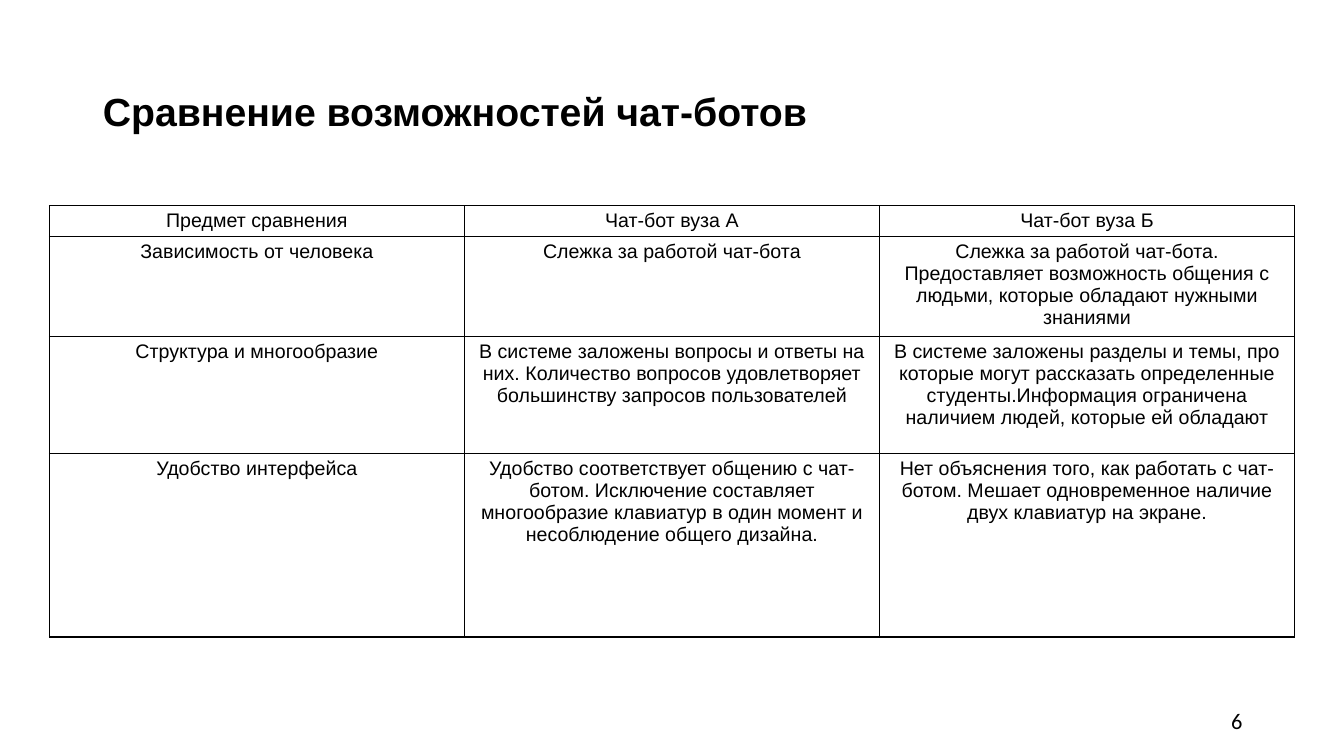
from dataclasses import dataclass

from lxml import etree
from pptx import Presentation
from pptx.dml.color import RGBColor
from pptx.enum.text import MSO_ANCHOR, MSO_AUTO_SIZE, PP_ALIGN
from pptx.oxml.ns import qn
from pptx.util import Pt

LEFT, MID, RIGHT = PP_ALIGN.LEFT, PP_ALIGN.CENTER, PP_ALIGN.RIGHT
TOP, MIDDLE = MSO_ANCHOR.TOP, MSO_ANCHOR.MIDDLE
FIXED = MSO_AUTO_SIZE.NONE
PX = 9144


@dataclass(frozen=True)
class Theme:
    ink: str = "000000"
    paper: str = "FFFFFF"
    font: str = "Arial"
    num_font: str = "Calibri"
    title: int = 28
    body: int = 14
    num: int = 16
    rule: int = 1


THEME = Theme()
HEIGHTS = [31, 99, 116, 182]
ROWS = [
    ["Предмет сравнения", "Чат-бот вуза А", "Чат-бот вуза Б"],
    [
        "Зависимость от человека",
        "Слежка за работой чат-бота",
        "Слежка за работой чат-бота.\n"
        "Предоставляет возможность общения с людьми, которые обладают нужными знаниями",
    ],
    [
        "Структура и многообразие",
        "В системе заложены вопросы и ответы на них. Количество вопросов "
        "удовлетворяет большинству запросов пользователей",
        "В системе заложены разделы и темы, про которые могут рассказать определенные "
        "студенты.Информация ограничена наличием людей, которые ей обладают",
    ],
    [
        "Удобство интерфейса",
        "Удобство соответствует общению с чат-ботом. Исключение составляет "
        "многообразие клавиатур в один момент и несоблюдение общего дизайна.",
        "Нет объяснения того, как работать с чат-ботом. Мешает одновременное "
        "наличие двух клавиатур на экране.",
    ],
]


def px(*sizes):
    return [size * PX for size in sizes]


def write(frame, text, size, font=THEME.font, bold=False, align=LEFT, anchor=TOP, space=1.0):
    frame.text = text
    frame.word_wrap = True
    frame.vertical_anchor = anchor
    for par in frame.paragraphs:
        par.alignment = align
        par.line_spacing = space
        for run in par.runs:
            run.font.name = font
            run.font.size = Pt(size)
            run.font.bold = bold
            run.font.color.rgb = RGBColor.from_string(THEME.ink)


def add_title(slide, text):
    title = slide.shapes.title
    title.left, title.top, title.width, title.height = px(92, 40, 1150, 145)
    write(title.text_frame, text, THEME.title, bold=True, anchor=MIDDLE, space=0.9)
    title.text_frame.auto_size = FIXED


def add_rules(cell):
    props = cell._tc.get_or_add_tcPr()
    for spot, side in enumerate(("a:lnL", "a:lnR", "a:lnT", "a:lnB")):
        line = etree.Element(qn(side), w=str(Pt(THEME.rule)))
        fill = etree.SubElement(line, qn("a:solidFill"))
        etree.SubElement(fill, qn("a:srgbClr"), val=THEME.ink)
        props.insert(spot, line)


def add_grid(slide, rows, heights):
    box = px(49, 204, 1235, sum(heights))
    table = slide.shapes.add_table(len(rows), len(rows[0]), *box).table
    table.first_row = table.horz_banding = False
    for row, height, texts in zip(table.rows, heights, rows):
        row.height = height * PX
        for cell, text in zip(row.cells, texts):
            cell.margin_left, cell.margin_right = px(7, 7)
            cell.margin_top, cell.margin_bottom = px(4, 4)
            cell.fill.solid()
            cell.fill.fore_color.rgb = RGBColor.from_string(THEME.paper)
            write(cell.text_frame, text, THEME.body, align=MID)
            add_rules(cell)


def add_number(slide, text):
    box = slide.shapes.add_textbox(*px(942, 695, 300, 40))
    write(box.text_frame, text, THEME.num, font=THEME.num_font, align=RIGHT, anchor=MIDDLE)


def main():
    deck = Presentation()
    deck.slide_width, deck.slide_height = px(1333, 750)
    slide = deck.slides.add_slide(deck.slide_layouts[5])
    add_title(slide, "Сравнение возможностей чат-ботов")
    add_grid(slide, ROWS, HEIGHTS)
    add_number(slide, "6")
    deck.save("out.pptx")


if __name__ == "__main__":
    main()
